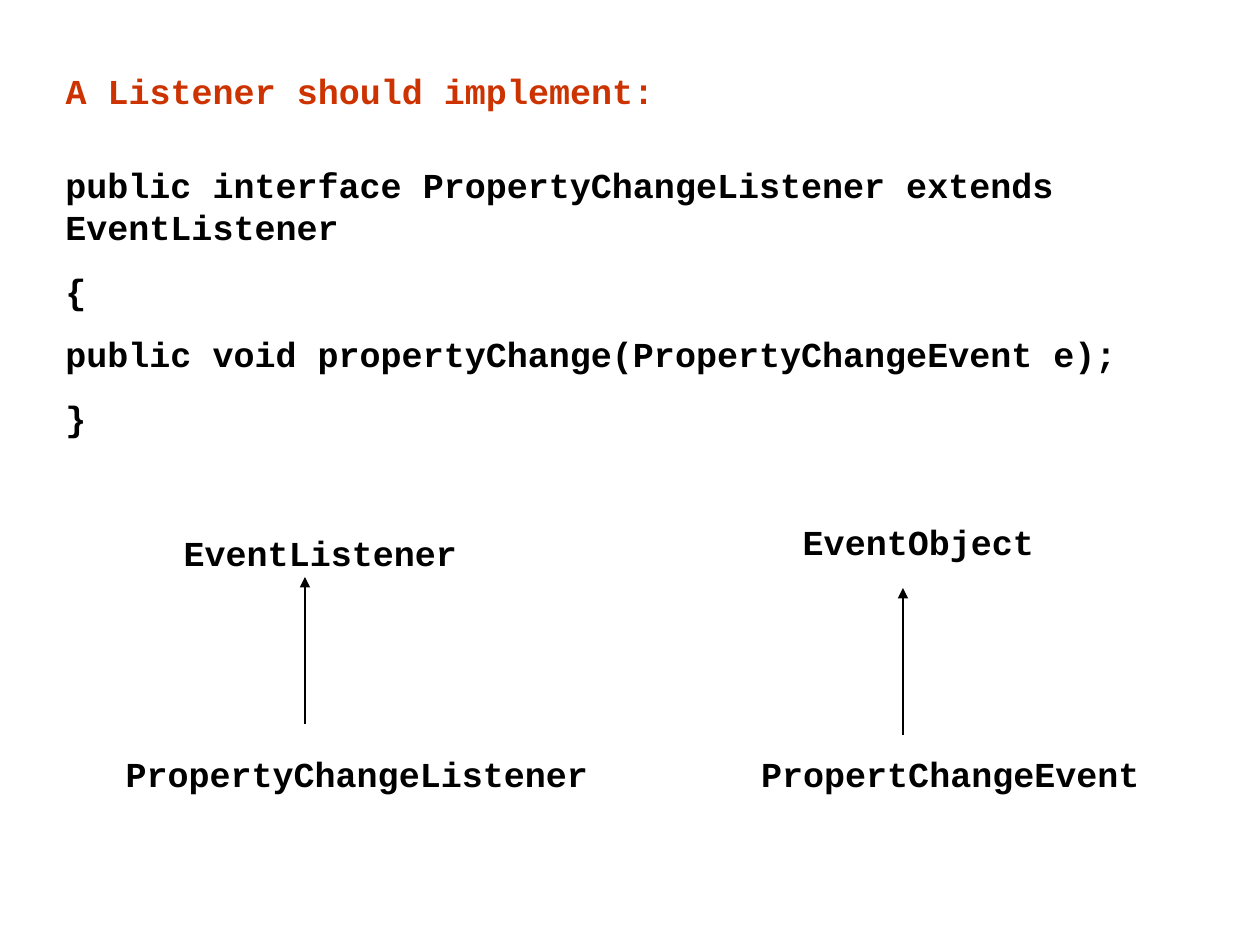
from pptx import Presentation
from pptx.dml.color import RGBColor
from pptx.enum.shapes import MSO_CONNECTOR
from pptx.enum.text import MSO_ANCHOR, MSO_AUTO_SIZE, PP_ALIGN
from pptx.oxml.ns import qn
from pptx.util import Pt
from lxml.etree import SubElement

PX = 914400 // 126
FONT, SIZE, SPACE_BEFORE = "Courier New", 20, 12.5
BLACK, RED = "000000", "CC3300"
LINE_H = 55

TITLE = ("A Listener should implement:", (53, 63, 1166, LINE_H))
CODE = ([
    "public interface PropertyChangeListener extends EventListener",
    "{",
    "public void propertyChange(PropertyChangeEvent e);",
    "}",
], (53, 157, 1166, 353))
# class name, left, top, width
CLASSES = [
    ("EventListener", 53, 525, 535),
    ("PropertyChangeListener", 105, 746, 504),
    ("EventObject", 693, 514, 451),
    ("PropertChangeEvent", 746, 746, 409),
]
# x, bottom (subclass end), top (parent end)
INHERITANCE = [(305, 724, 577), (903, 735, 588)]


def px(*values):
    return [v * PX for v in values]


def rgb(color):
    return RGBColor.from_string(color)


def write(sp, box, lines, color=BLACK, align=PP_ALIGN.LEFT):
    sp.left, sp.top, sp.width, sp.height = px(*box)
    tf = sp.text_frame
    tf.word_wrap = True
    tf.auto_size = MSO_AUTO_SIZE.NONE
    tf.vertical_anchor = MSO_ANCHOR.TOP
    for i, line in enumerate(lines):
        p = tf.add_paragraph() if i else tf.paragraphs[0]
        p.alignment = align
        p.space_before = Pt(SPACE_BEFORE)
        r = p.add_run()
        r.text = line
        r.font.name, r.font.size, r.font.bold = FONT, Pt(SIZE), True
        r.font.color.rgb = rgb(color)


def add_text(slide, box, lines, **style):
    write(slide.shapes.add_textbox(*px(*box)), box, lines, **style)


def add_arrow(slide, x, bottom, top):
    line = slide.shapes.add_connector(MSO_CONNECTOR.STRAIGHT, *px(x, bottom, x, top))
    line.line.color.rgb = rgb(BLACK)
    line.line.width = Pt(0.75)
    SubElement(line.line._get_or_add_ln(), qn("a:tailEnd"), type="triangle")
    SubElement(line._element.spPr, qn("a:effectLst"))


def main():
    prs = Presentation()
    prs.slide_width, prs.slide_height = px(1260, 945)
    slide = prs.slides.add_slide(prs.slide_layouts[5])

    title, title_box = TITLE
    write(slide.shapes.title, title_box, [title], color=RED)
    code, code_box = CODE
    add_text(slide, code_box, code)
    for name, left, top, width in CLASSES:
        add_text(slide, (left, top, width, LINE_H), [name], align=PP_ALIGN.CENTER)
    for arrow in INHERITANCE:
        add_arrow(slide, *arrow)

    prs.save("out.pptx")


if __name__ == "__main__":
    main()
